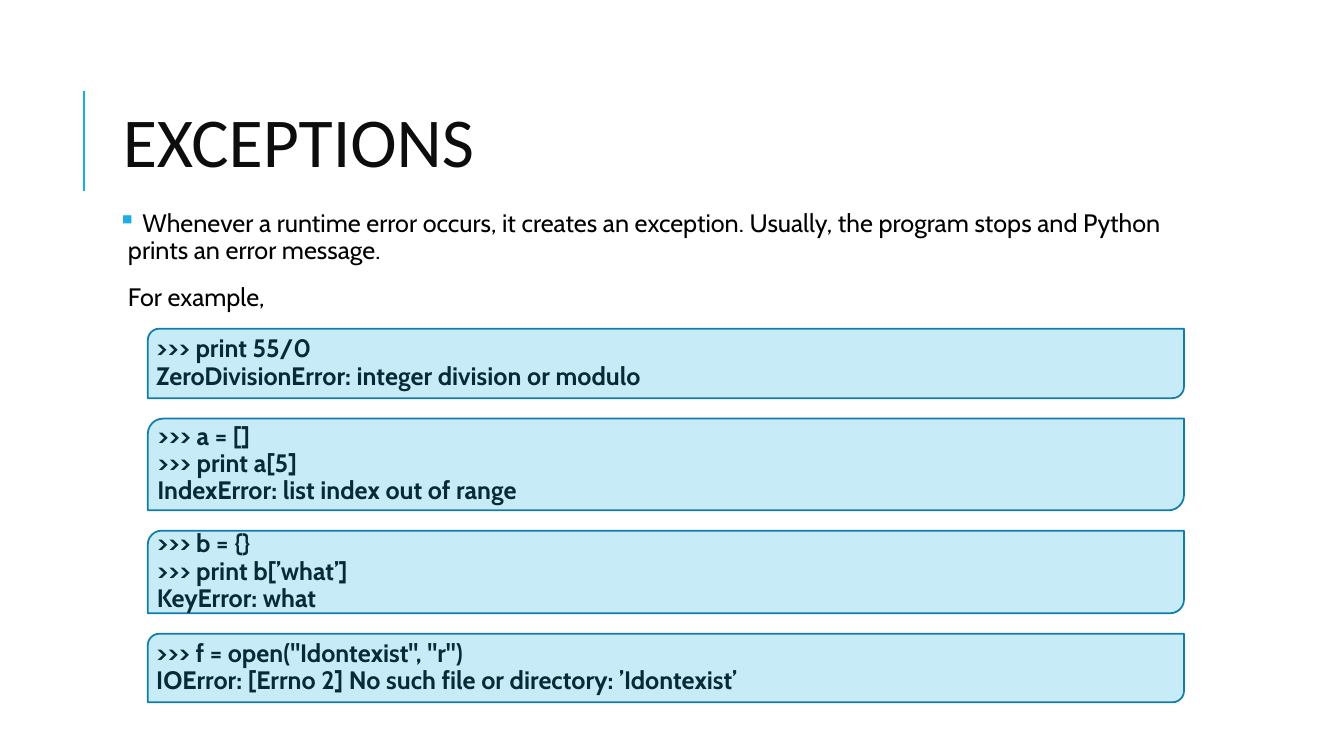
from lxml.etree import SubElement
from pptx import Presentation
from pptx.dml.color import RGBColor
from pptx.enum.shapes import MSO_CONNECTOR, MSO_SHAPE
from pptx.enum.text import MSO_ANCHOR, PP_ALIGN
from pptx.oxml.ns import qn
from pptx.util import Inches, Pt

SKY = RGBColor(0x1C, 0xAD, 0xE4)
EDGE = RGBColor(0x11, 0x7E, 0xA7)
NAVY = RGBColor(0x07, 0x2A, 0x37)
INK = RGBColor(0x0D, 0x0D, 0x0D)
BLACK = RGBColor(0, 0, 0)

deck = Presentation()
deck.slide_width, deck.slide_height = Inches(13.34), Inches(7.5)
slide = deck.slides.add_slide(deck.slide_layouts[6])
shapes = slide.shapes

# Grid of 100 columns by 100 rows
COL, ROW = deck.slide_width / 100, deck.slide_height / 100


def area(left, top, width, height):
    return int(left * COL), int(top * ROW), int(width * COL), int(height * ROW)


def write(shape, text, font="Cabin", size=18, color=BLACK, bold=False,
          lead=0.9, gap=0, pad=0.05, anchor=MSO_ANCHOR.TOP, bullet=False):
    frame = shape.text_frame
    frame.word_wrap = True
    frame.vertical_anchor = anchor
    frame.margin_left = frame.margin_right = Inches(pad)
    frame.margin_top = frame.margin_bottom = Inches(0.05)
    for i, line in enumerate(text.split("\n")):
        para = frame.paragraphs[0] if i == 0 else frame.add_paragraph()
        if bullet:
            # Hanging indent; only the first paragraph shows its mark
            props = para._p.get_or_add_pPr()
            props.set("marL", str(Inches(0.1)))
            props.set("indent", str(Inches(0 if i else -0.1)))
            if i == 0:
                tint = SubElement(props, qn("a:buClr"))
                SubElement(tint, qn("a:srgbClr"), val=str(SKY))
                SubElement(props, qn("a:buChar"), char="▪")
        para.alignment = PP_ALIGN.LEFT
        para.line_spacing = lead
        para.space_before = Pt(gap if i else 0)
        run = para.add_run()
        run.text = line
        run.font.name, run.font.size = font, Pt(size)
        run.font.bold, run.font.color.rgb = bold, color


# Accent line beside the title
x = int(6.22 * COL)
bar = shapes.add_connector(MSO_CONNECTOR.STRAIGHT, x, int(25.33 * ROW), x, int(12 * ROW))
bar.line.color.rgb, bar.line.width = SKY, Pt(1.5)
SubElement(bar._element.spPr, qn("a:effectLst"))

# Title
title = shapes.add_textbox(*area(8.4, 8.53, 79.7, 21.87))
write(title, "EXCEPTIONS", font="Calibri", size=50, color=INK, lead=0.8,
      pad=0.1, anchor=MSO_ANCHOR.MIDDLE)

# Introduction
intro = shapes.add_textbox(*area(8.4, 27.2, 79.7, 16))
write(intro, " Whenever a runtime error occurs, it creates an exception. Usually, "
      "the program stops and Python prints an error message.\nFor example,",
      gap=14, bullet=True)

# Code samples, stacked with equal gaps: height in rows, text
CODE = [
    (9.2, ">>> print 55/0\nZeroDivisionError: integer division or modulo"),
    (12.13, ">>> a = []\n>>> print a[5]\nIndexError: list index out of range"),
    (10.93, ">>> b = {}\n>>> print b[’what’]\nKeyError: what"),
    (9.07, '>>> f = open("Idontexist", "r")\n'
           "IOError: [Errno 2] No such file or directory: ’Idontexist’"),
]
top = 43.47
for high, text in CODE:
    box = shapes.add_shape(MSO_SHAPE.ROUND_2_DIAG_RECTANGLE, *area(11, top, 77.1, high))
    box.shadow.inherit = False
    box.fill.solid()
    box.fill.fore_color.rgb = SKY
    shade = box._element.spPr.find(qn("a:solidFill")).find(qn("a:srgbClr"))
    SubElement(shade, qn("a:alpha"), val="24000")
    box.line.color.rgb, box.line.width = EDGE, Pt(1.25)
    write(box, text, color=NAVY, bold=True, anchor=MSO_ANCHOR.MIDDLE)
    top += high + 2.7

deck.save("out.pptx")
